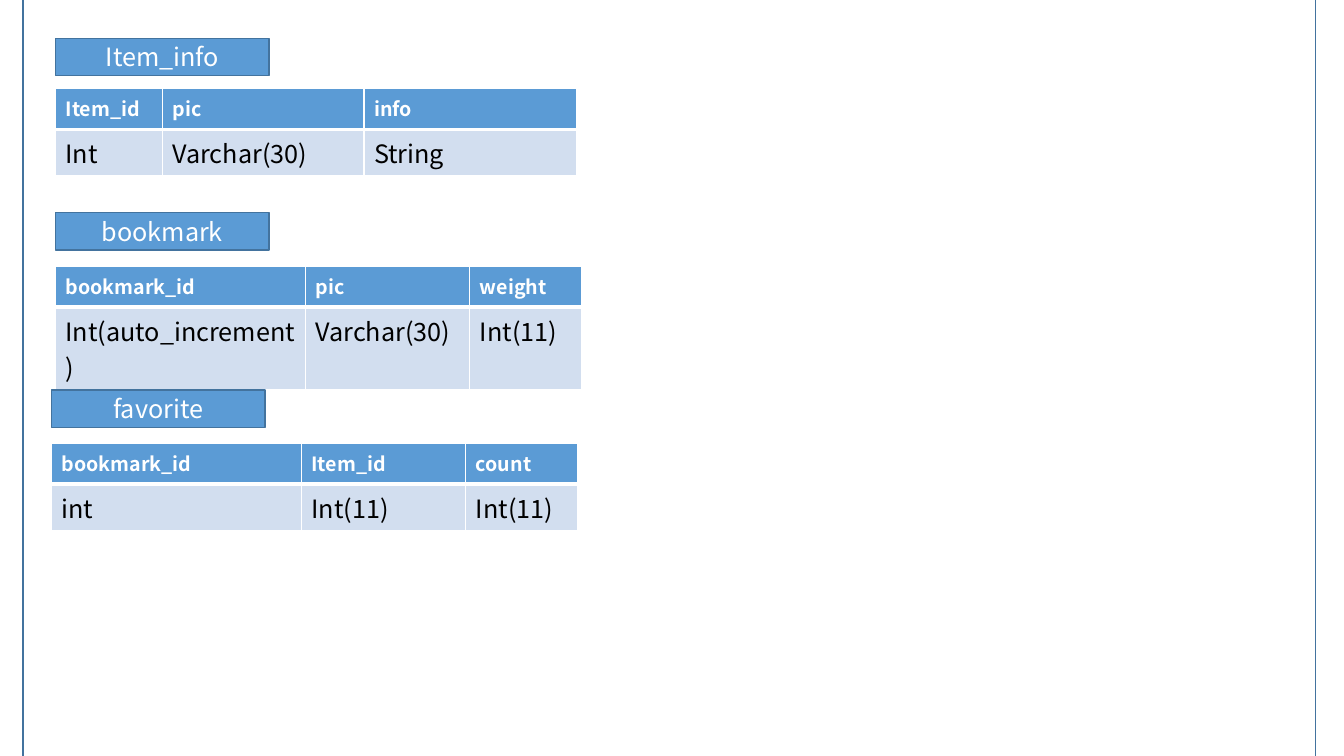
from dataclasses import dataclass

from lxml import etree
from pptx import Presentation
from pptx.dml.color import RGBColor
from pptx.enum.shapes import MSO_SHAPE
from pptx.enum.text import MSO_ANCHOR, PP_ALIGN
from pptx.oxml.ns import qn
from pptx.util import Inches, Pt


@dataclass(frozen=True)
class Theme:
    font: str = "Noto Sans CJK KR"
    white: RGBColor = RGBColor(0xFF, 0xFF, 0xFF)
    black: RGBColor = RGBColor(0, 0, 0)
    blue: RGBColor = RGBColor(0x5B, 0x9B, 0xD5)
    pale: RGBColor = RGBColor(0xD2, 0xDE, 0xEF)
    outline: RGBColor = RGBColor(0x43, 0x73, 0x9E)
    head_size: Pt = Pt(14)
    body_size: Pt = Pt(18)


theme = Theme()


def add_box(left, top, width, height, fill):
    s = slide.shapes.add_shape(MSO_SHAPE.RECTANGLE, Inches(left), Inches(top),
                               Inches(width), Inches(height))
    s.shadow.inherit = False
    s.fill.solid()
    s.fill.fore_color.rgb = fill
    s.line.color.rgb = theme.outline
    s.line.width = Pt(1)
    return s


def write(p, text, color, **formats):
    r = p.add_run()
    r.text = text
    r.font.color.rgb = color
    for name, value in {"name": theme.font, **formats}.items():
        setattr(r.font, name, value)


prs = Presentation()
prs.slide_width, prs.slide_height = Inches(13.33), Inches(7.5)
slide = prs.slides.add_slide(prs.slide_layouts[6])

# Page frame
add_box(0.23, -0.28, 12.82, 8.01, theme.white)

# Database tables: name, left, label top, table top, column widths, fields, types
entities = [
    ("Item_info", 0.55, 0.38, 0.88, (1.06, 2, 2.11),
     ("Item_id", "pic", "info"), ("Int", "Varchar(30)", "String")),
    ("bookmark", 0.55, 2.11, 2.64, (2.48, 1.63, 1.11),
     ("bookmark_id", "pic", "weight"),
     ("Int(auto_increment)", "Varchar(30)", "Int(11)")),
    ("favorite", 0.51, 3.87, 4.4, (2.48, 1.63, 1.11),
     ("bookmark_id", "Item_id", "count"), ("int", "Int(11)", "Int(11)")),
]

# Row looks: fill, text formats, border widths in points
row_styles = [
    (theme.blue, {"color": theme.white, "size": theme.head_size, "bold": True},
     {"lnL": 1, "lnR": 1, "lnT": 1, "lnB": 3}),
    (theme.pale, {"color": theme.black, "size": theme.body_size, "bold": False},
     {"lnL": 1, "lnR": 1, "lnT": 3, "lnB": 1}),
]

for name, left, label_top, table_top, widths, fields, types in entities:
    # Columns and cells
    table = slide.shapes.add_table(2, len(widths), Inches(left), Inches(table_top),
                                   Inches(sum(widths)), Inches(0.81)).table
    for column, width in zip(table.columns, widths):
        column.width = Inches(width)
    for row, texts, (fill, formats, borders) in zip(table.rows, (fields, types), row_styles):
        for cell, text in zip(row.cells, texts):
            write(cell.text_frame.paragraphs[0], text, **formats)
            tcPr = cell._tc.get_or_add_tcPr()
            for tag, points in borders.items():
                ln = etree.SubElement(tcPr, qn(f"a:{tag}"), w=str(Pt(points)))
                solid = etree.SubElement(ln, qn("a:solidFill"))
                etree.SubElement(solid, qn("a:srgbClr"), val=str(theme.white))
            cell.fill.solid()
            cell.fill.fore_color.rgb = fill

    # Label with the table's name
    tf = add_box(left, label_top, 2.12, 0.37, theme.blue).text_frame
    tf.vertical_anchor = MSO_ANCHOR.MIDDLE
    p = tf.paragraphs[0]
    p.alignment = PP_ALIGN.CENTER
    write(p, name, theme.white, size=theme.body_size)

prs.save("out.pptx")
